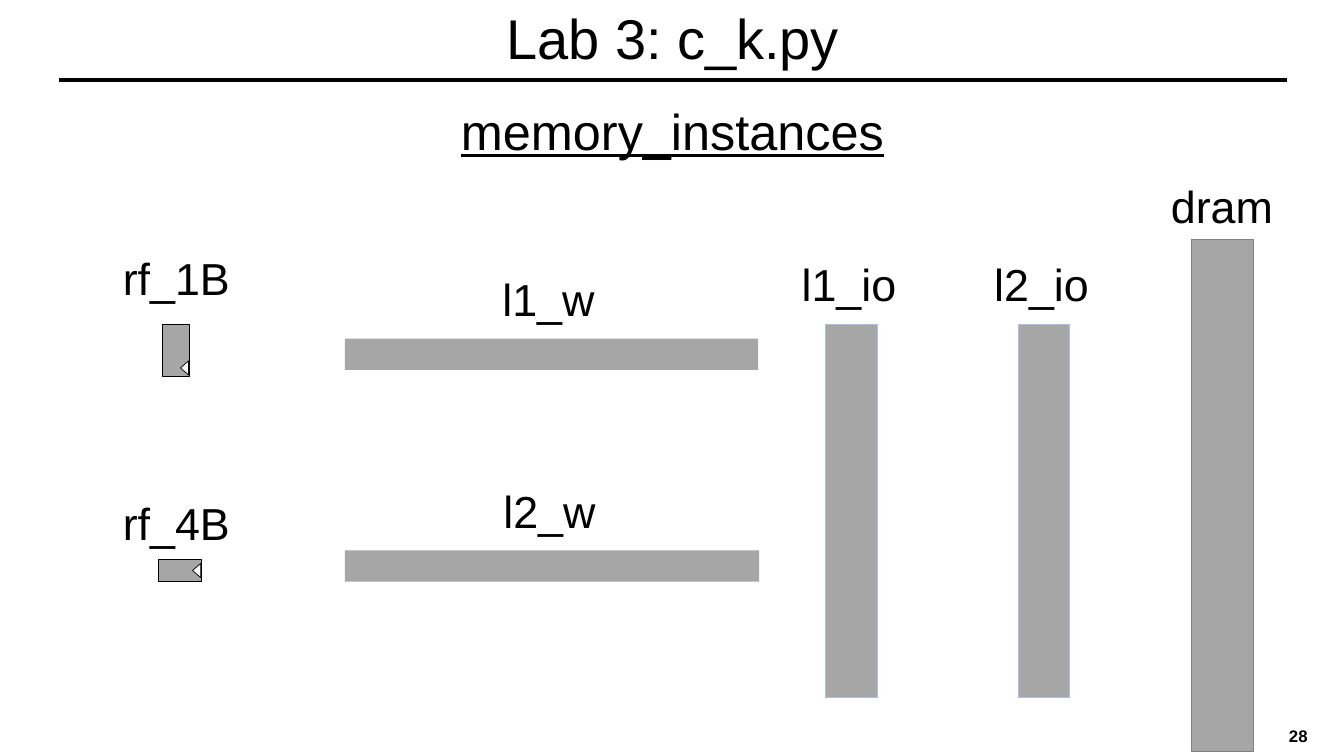
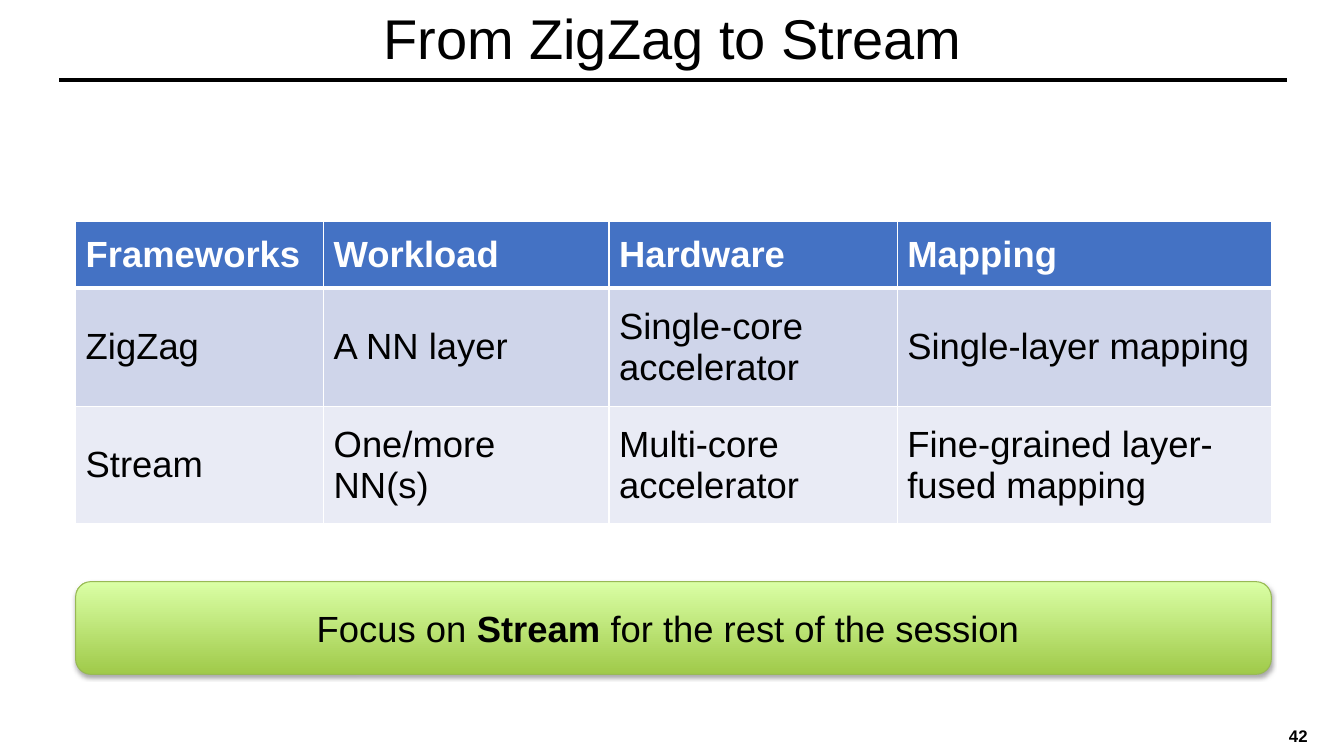
from dataclasses import dataclass

from lxml.etree import SubElement
from pptx import Presentation
from pptx.dml.color import RGBColor
from pptx.enum.shapes import MSO_CONNECTOR, MSO_SHAPE
from pptx.enum.text import MSO_ANCHOR, MSO_AUTO_SIZE, PP_ALIGN
from pptx.oxml.ns import qn
from pptx.util import Inches, Pt


@dataclass(frozen=True)
class Theme:
    font: str = "Arial"
    black: str = "000000"
    white: str = "FFFFFF"
    memory: str = "A6A6A6"
    pale_blue: str = "ABC0E4"
    grey: str = "808080"
    header: str = "4472C4"
    bands: tuple = ("CFD5EA", "E9EBF5")
    banner_top: str = "DAFFA5"
    banner_bottom: str = "A0CA4A"
    banner_line: str = "98B955"
    title_size: int = 40
    heading_size: int = 36
    label_size: int = 32
    body_size: int = 26
    number_size: int = 12


THEME = Theme()

MEMORY_TITLE = "Lab 3: c_k.py"
MEMORY_HEADING = "memory_instances"
MEMORIES = [
    {"name": "rf_1B", "label": (1.01, 2.44), "block": (1.61, 3.22, 0.27, 0.51),
     "line": THEME.black, "clock_rise": 0.08},
    {"name": "rf_4B", "label": (1.01, 4.87), "block": (1.57, 5.55, 0.43, 0.22),
     "line": THEME.black, "clock_rise": 0.11},
    {"name": "l1_w", "label": (4.7, 2.65), "block": (3.42, 3.36, 4.1, 0.31)},
    {"name": "l2_w", "label": (4.71, 4.75), "block": (3.42, 5.46, 4.11, 0.31)},
    {"name": "l1_io", "label": (7.68, 2.5), "block": (8.19, 3.22, 0.51, 3.7),
     "line": THEME.pale_blue},
    {"name": "l2_io", "label": (9.59, 2.5), "block": (10.1, 3.22, 0.51, 3.7),
     "line": THEME.pale_blue},
    {"name": "dram", "label": (11.38, 1.72), "block": (11.82, 2.38, 0.61, 5.07),
     "line": THEME.grey},
]
LABEL_SIZE = (1.48, 0.64)
CLOCK_BASE, CLOCK_HEIGHT, CLOCK_INSET = 0.14, 0.08, 0.05

FRAMEWORK_TITLE = "From ZigZag to Stream"
FRAMEWORK_ROWS = [
    ("Frameworks", "Workload", "Hardware", "Mapping"),
    ("ZigZag", "A NN layer", "Single-core accelerator", "Single-layer mapping"),
    ("Stream", "One/more NN(s)", "Multi-core accelerator",
     "Fine-grained layer-fused mapping"),
]
COLUMN_WIDTHS = (2.46, 2.83, 2.86, 3.71)
ROW_HEIGHTS = (0.66, 1.17, 1.17)
CONTENT_LEFT, CONTENT_WIDTH = 0.75, sum(COLUMN_WIDTHS)
BANNER_SPANS = [("Focus on ", False), ("Stream", True),
                (" for the rest of the session", False)]


def color(value):
    return RGBColor.from_string(value)


def inches(values):
    return [Inches(value) for value in values]


def style(paragraph, size, align=PP_ALIGN.CENTER, ink=THEME.black, bold=False):
    paragraph.alignment = align
    font = paragraph.font
    font.name = THEME.font
    font.size = Pt(size)
    font.bold = bold
    font.color.rgb = color(ink)


def add_text(page, bounds, text, size, **options):
    box = page.shapes.add_textbox(*inches(bounds))
    box.text_frame.word_wrap = True
    para = box.text_frame.paragraphs[0]
    para.text = text
    style(para, size, **options)
    return box


def add_block(page, kind, bounds, fill, line=None, width=0.5):
    block = page.shapes.add_shape(kind, *inches(bounds))
    block.shadow.inherit = False
    if fill:
        block.fill.solid()
        block.fill.fore_color.rgb = color(fill)
    if line:
        block.line.color.rgb = color(line)
        block.line.width = Pt(width)
    else:
        block.line.fill.background()
    return block


def add_page(deck, title_text, number):
    page = deck.slides.add_slide(deck.slide_layouts[5])
    title = page.shapes.title
    title.left, title.top, title.width, title.height = inches((0.92, 0.04, 11.5, 0.75))
    title.text_frame.text = title_text
    title.text_frame.auto_size = MSO_AUTO_SIZE.NONE
    title.text_frame.vertical_anchor = MSO_ANCHOR.MIDDLE
    para = title.text_frame.paragraphs[0]
    para.line_spacing = 0.9
    style(para, THEME.title_size)

    rule = page.shapes.add_connector(
        MSO_CONNECTOR.STRAIGHT, *inches((0.59, 0.79, 12.76, 0.79)))
    rule.line.color.rgb = color(THEME.black)
    rule.line.width = Pt(3)
    SubElement(rule._element.spPr, qn("a:effectLst"))

    footer = add_text(page, (10.11, 7.1, 3, 0.4), str(number), THEME.number_size,
                      align=PP_ALIGN.RIGHT, bold=True)
    footer.text_frame.vertical_anchor = MSO_ANCHOR.MIDDLE
    footer.text_frame.margin_right = Inches(0.14)
    return page


def add_clock(page, block, rise):
    left, top, width, height = block
    center_x = left + width - CLOCK_INSET
    center_y = top + height - rise
    clock = add_block(
        page, MSO_SHAPE.ISOSCELES_TRIANGLE,
        (center_x - CLOCK_BASE / 2, center_y - CLOCK_HEIGHT / 2, CLOCK_BASE, CLOCK_HEIGHT),
        THEME.white, THEME.black)
    clock.rotation = 270


def add_memory(page, memory):
    add_block(page, MSO_SHAPE.RECTANGLE, memory["block"], THEME.memory, memory.get("line"))
    if "clock_rise" in memory:
        add_clock(page, memory["block"], memory["clock_rise"])
    add_text(page, memory["label"] + LABEL_SIZE, memory["name"], THEME.label_size)


def add_borders(cell, widths):
    properties = cell._tc.get_or_add_tcPr()
    for side, width in zip("LRTB", widths):
        border = SubElement(properties, qn(f"a:ln{side}"), w=str(Pt(width)))
        fill = SubElement(border, qn("a:solidFill"))
        SubElement(fill, qn("a:srgbClr"), val=THEME.white)


def add_framework_table(page):
    bounds = (CONTENT_LEFT, 2.2, CONTENT_WIDTH, sum(ROW_HEIGHTS))
    table = page.shapes.add_table(
        len(ROW_HEIGHTS), len(COLUMN_WIDTHS), *inches(bounds)).table
    for column, width in zip(table.columns, COLUMN_WIDTHS):
        column.width = Inches(width)
    for row, height in zip(table.rows, ROW_HEIGHTS):
        row.height = Inches(height)
    for row_index, texts in enumerate(FRAMEWORK_ROWS):
        is_header = row_index == 0
        fill = THEME.header if is_header else THEME.bands[row_index - 1]
        top, bottom = (3 if row_index == 1 else 1), (3 if is_header else 1)
        for column_index, text in enumerate(texts):
            cell = table.cell(row_index, column_index)
            add_borders(cell, (1, 1, top, bottom))
            cell.fill.solid()
            cell.fill.fore_color.rgb = color(fill)
            cell.vertical_anchor = MSO_ANCHOR.MIDDLE
            cell.text = text
            style(cell.text_frame.paragraphs[0], THEME.body_size, PP_ALIGN.LEFT,
                  THEME.white if is_header else THEME.black, is_header)


def add_shadow(shape):
    effects = shape._element.spPr.find(qn("a:effectLst"))
    shadow = SubElement(effects, qn("a:outerShdw"), blurRad=str(Pt(3.1)),
                        dist=str(Pt(1.8)), dir="5400000", rotWithShape="0")
    ink = SubElement(shadow, qn("a:srgbClr"), val=THEME.black)
    SubElement(ink, qn("a:alpha"), val="35000")


def add_banner(page):
    banner = add_block(page, MSO_SHAPE.ROUNDED_RECTANGLE,
                       (CONTENT_LEFT, 5.77, CONTENT_WIDTH, 0.92),
                       None, THEME.banner_line, 0.75)
    banner.fill.gradient()
    banner.fill.gradient_angle = 90
    for stop, value in zip(banner.fill.gradient_stops,
                           (THEME.banner_bottom, THEME.banner_top)):
        stop.color.rgb = color(value)
    add_shadow(banner)
    frame = banner.text_frame
    frame.margin_right = Inches(0.2)
    frame.vertical_anchor = MSO_ANCHOR.MIDDLE
    para = frame.paragraphs[0]
    style(para, THEME.body_size)
    for text, bold in BANNER_SPANS:
        span = para.add_run()
        span.text = text
        span.font.bold = bold


def build_memory_page(deck):
    page = add_page(deck, MEMORY_TITLE, 28)
    heading = add_text(page, (4.31, 0.94, 4.72, 0.71), MEMORY_HEADING, THEME.heading_size)
    heading.text_frame.paragraphs[0].font.underline = True
    for memory in MEMORIES:
        add_memory(page, memory)


def build_framework_page(deck):
    page = add_page(deck, FRAMEWORK_TITLE, 42)
    add_framework_table(page)
    add_banner(page)


def main():
    deck = Presentation()
    deck.slide_width, deck.slide_height = inches((13.33, 7.5))
    build_memory_page(deck)
    build_framework_page(deck)
    deck.save("out.pptx")


if __name__ == "__main__":
    main()
